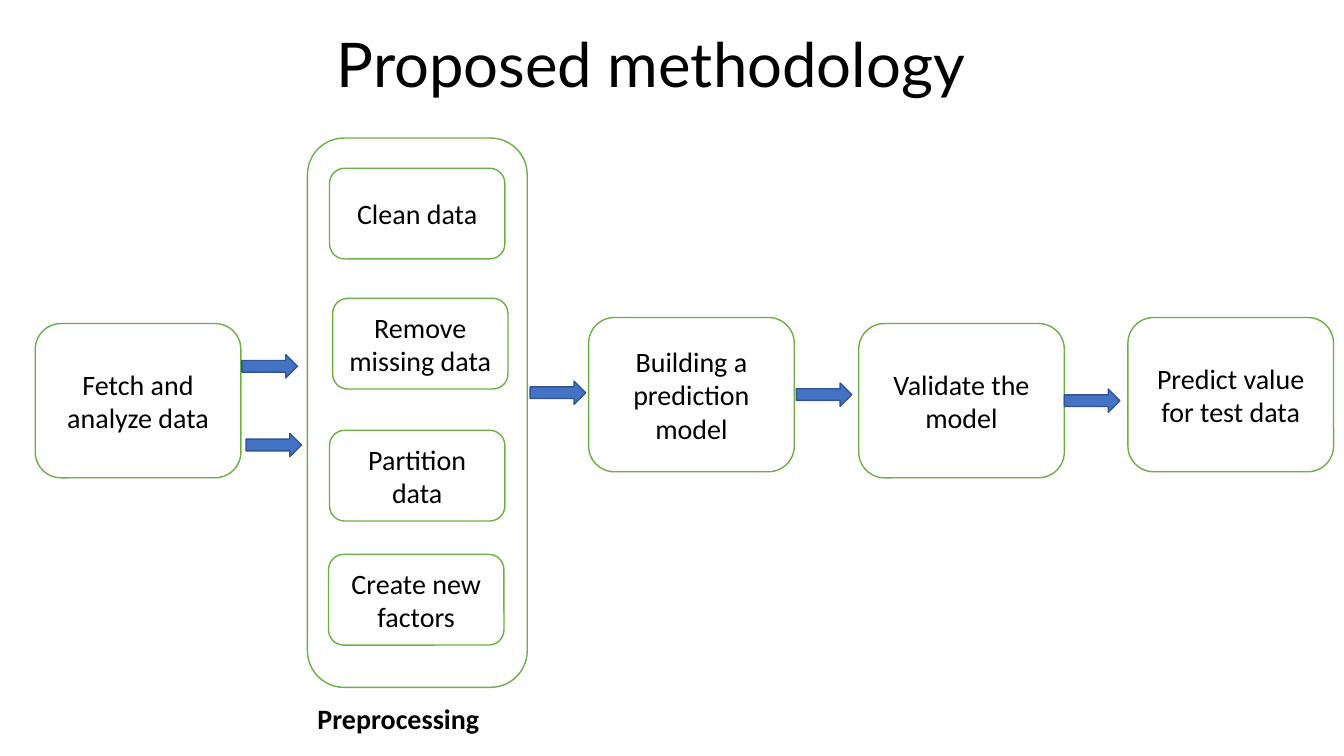
import pptx
import pptx.dml.color
import pptx.enum.shapes
import pptx.enum.text
import pptx.util

Pt = pptx.util.Pt
SHAPE = pptx.enum.shapes.MSO_SHAPE
ANCHOR = pptx.enum.text.MSO_ANCHOR
ALIGN = pptx.enum.text.PP_ALIGN

STAGE_SIZE = (146.9, 110.2)
STEP_SIZE = (125.3, 64.8)
ARROW_SIZE = (39.6, 16.6)

STAGES = [
    ("Fetch and analyze data", 25.2, 231.1),
    ("Building a prediction model", 420.5, 226.8),
    ("Validate the model", 613.4, 231.1),
    ("Predict value for test data", 805.7, 226.8),
]
STEPS = [
    ("Clean data", 235.4, 120.2),
    ("Remove missing data", 237.6, 213.1),
    ("Partition data", 235.4, 307.4),
    ("Create new factors", 234.7, 396),
]
ARROWS = [(172.8, 253.4), (175.7, 309.6), (378.7, 272.2), (568.8, 273.6), (760.3, 277.9)]


def color(value):
    """Turn a hex string into a colour."""
    return pptx.dml.color.RGBColor.from_string(value)


def write(frame, words, size, font="Calibri", align=ALIGN.CENTER, bold=False):
    """Write one run of black text into a frame."""
    frame.word_wrap = True
    paragraph = frame.paragraphs[0]
    paragraph.alignment = align
    run = paragraph.add_run()
    run.text = words
    run.font.name = font
    run.font.size = Pt(size)
    run.font.bold = bold
    run.font.color.rgb = color("000000")
    return paragraph


def add_block(slide, kind, left, top, size, fill, line):
    """Add a filled and outlined preset shape."""
    width, height = size
    block = slide.shapes.add_shape(kind, Pt(left), Pt(top), Pt(width), Pt(height))
    block.shadow.inherit = False
    block.fill.solid()
    block.fill.fore_color.rgb = color(fill)
    block.line.color.rgb = color(line)
    block.line.width = Pt(1)
    return block


def add_box(slide, left, top, size, words=""):
    """Add a white rounded box with a green outline and centred words."""
    box = add_block(slide, SHAPE.ROUNDED_RECTANGLE, left, top, size, "FFFFFF", "70AD47")
    if words:
        box.text_frame.vertical_anchor = ANCHOR.MIDDLE
        write(box.text_frame, words, 20)


def add_label(slide, left, top, width, height, words, size, **style):
    """Add a text box and return its paragraph."""
    label = slide.shapes.add_textbox(Pt(left), Pt(top), Pt(width), Pt(height))
    return write(label.text_frame, words, size, **style)


def main():
    """Build the methodology slide."""
    deck = pptx.Presentation()
    deck.slide_width, deck.slide_height = Pt(960), Pt(540)
    slide = deck.slides.add_slide(deck.slide_layouts[6])

    for words, left, top in STAGES:
        add_box(slide, left, top, STAGE_SIZE, words)
    add_box(slide, 219.6, 98.6, (157, 392.4))
    for words, left, top in STEPS:
        add_box(slide, left, top, STEP_SIZE, words)
    for left, top in ARROWS:
        add_block(slide, SHAPE.RIGHT_ARROW, left, top, ARROW_SIZE, "4472C4", "325491")

    add_label(slide, 219.6, 497.5, 167, 29.5, "Preprocessing", 20, align=ALIGN.LEFT, bold=True)
    title = add_label(slide, 51.1, 20.9, 828, 104.4, "Proposed methodology", 44, font="Lato")
    title.line_spacing = 0.9

    deck.save("out.pptx")


if __name__ == "__main__":
    main()
